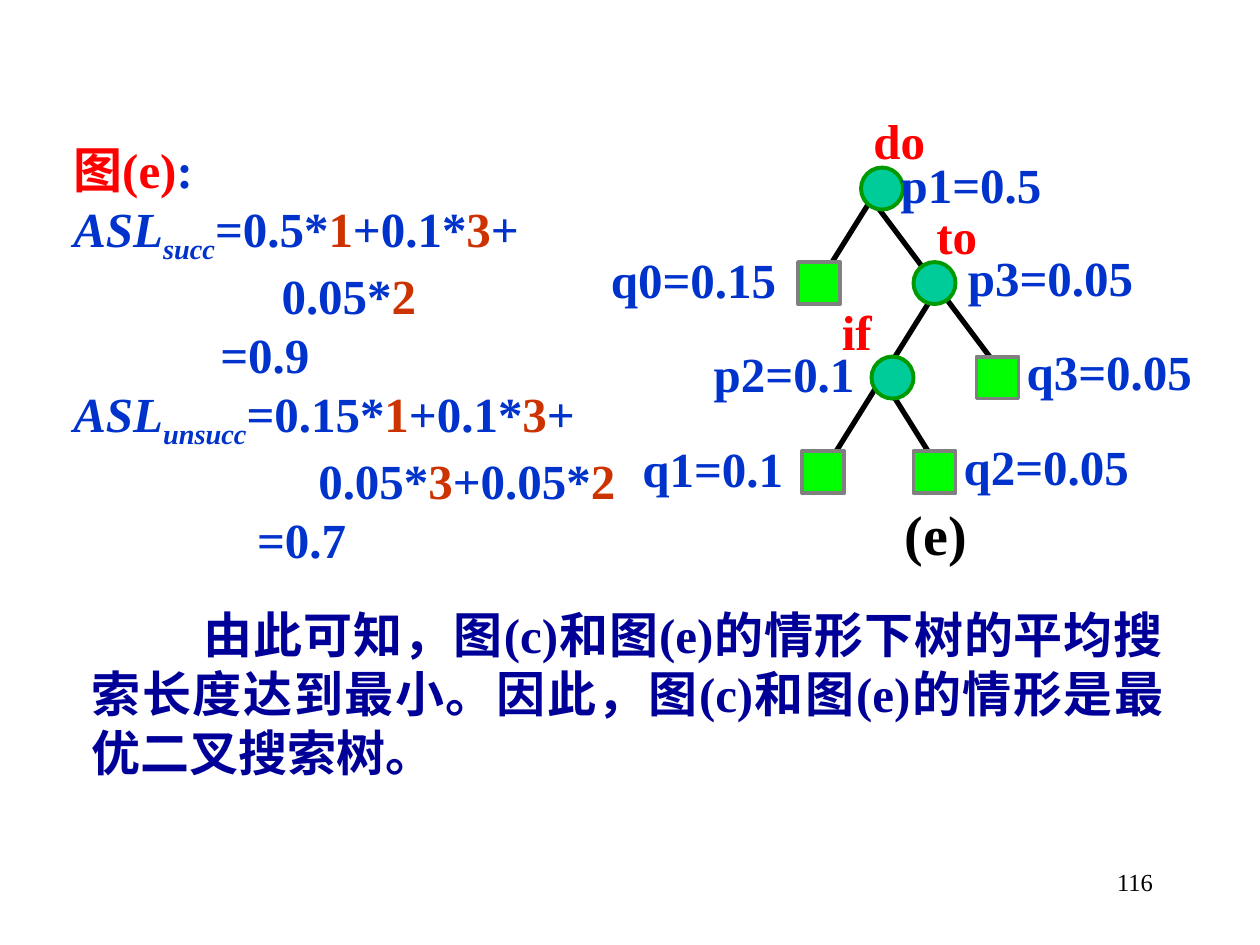
from lxml import etree
from pptx import Presentation
from pptx.dml.color import RGBColor
from pptx.enum.shapes import MSO_CONNECTOR, MSO_SHAPE
from pptx.enum.text import MSO_ANCHOR, MSO_AUTO_SIZE, PP_ALIGN
from pptx.oxml.ns import qn
from pptx.util import Inches, Pt

STRAIGHT = MSO_CONNECTOR.STRAIGHT
CIRCLE, SQUARE = MSO_SHAPE.OVAL, MSO_SHAPE.RECTANGLE
TOP = MSO_ANCHOR.TOP
FIT, FIXED = MSO_AUTO_SIZE.SHAPE_TO_FIT_TEXT, MSO_AUTO_SIZE.NONE
LEFT, RIGHT, JUSTIFY = PP_ALIGN.LEFT, PP_ALIGN.RIGHT, PP_ALIGN.JUSTIFY

COLORS = {
    "key": "FF0000", "formula": "0033CC", "depth": "CC3300",
    "conclusion": "000099", "black": "000000",
    "inner": "00CC99", "inner_edge": "009900",
    "outer": "00FF00", "outer_edge": "808080",
}
BASE_FONT = {"name": "Times New Roman", "size": Pt(28), "bold": True}
SLIDE_W, SLIDE_H = 10, 7.5
SPACE = 7  # points of indent per column of the derivation

# Grid of the tree: columns and rows of 1/12 inch
TREE_COLS, TREE_ROWS, NODE = 58, 45, 4
EDGES = [  # from column, row to column, row
    (27, 26, 32, 34), (26, 9, 21, 17), (32, 18, 27, 26),
    (26.4, 27, 21.4, 35), (26, 9, 38, 25),
]
INNER_NODES = [(25, 6), (30, 15), (26, 24)]
OUTER_NODES = [(19, 15), (36, 24), (19.4, 33), (30, 33)]
LABELS = [  # text, column, row, width, colour
    ("do", 25, 0, 7.3, "key"), ("to", 31, 9, 6.4, "key"),
    ("if", 22, 18.2, 5.3, "key"),
    ("p1=0.5", 27.6, 4.2, 15.8, "formula"),
    ("p2=0.1", 9.8, 22.2, 15.8, "formula"),
    ("p3=0.05", 34, 13, 18.2, "formula"),
    ("q0=0.15", 0, 13.2, 18.2, "formula"),
    ("q1=0.1", 3, 31.2, 15.8, "formula"),
    ("q2=0.05", 33.6, 31, 18.2, "formula"),
    ("q3=0.05", 39.6, 22, 18.2, "formula"),
]

# Derivation: indent in columns, then pieces of (text, role)
DERIVATION = [
    (3, [("图(e)", "key"), (":", "formula")]),
    (3, [("ASL", "italic"), ("succ", "sub"), ("=0.5*", "formula"), ("1", "depth"),
         ("+0.1*", "formula"), ("3", "depth"), ("+", "formula")]),
    (20, [("0.05*", "formula"), ("2", "depth")]),
    (15, [("=0.9", "formula")]),
    (3, [("ASL", "italic"), ("unsucc", "sub"), ("=0.15*", "formula"), ("1", "depth"),
         ("+0.1*", "formula"), ("3", "depth"), ("+", "formula")]),
    (23, [("0.05*", "formula"), ("3", "depth"), ("+0.05*", "formula"), ("2", "depth")]),
    (18, [("=0.7", "formula")]),
]
CONCLUSION = ("由此可知，图(c)和图(e)的情形下树的平均搜索长度达到最小。"
              "因此，图(c)和图(e)的情形是最优二叉搜索树。")


def rgb(color):
    return RGBColor.from_string(COLORS[color])


def set_all(target, values):
    for key, value in values.items():
        setattr(target, key, value)


def place(shape, box):
    set_all(shape, dict(zip(("left", "top", "width", "height"), map(Inches, box))))


def add_run(paragraph, text, color, **font_values):
    run = paragraph.add_run()
    run.text = text
    set_all(run.font, {**BASE_FONT, **font_values})
    run.font.color.rgb = rgb(color)
    return run


def add_text(slide, box, text, color, align=LEFT, wrap=True, **font_values):
    textbox = slide.shapes.add_textbox(*map(Inches, box))
    set_all(textbox.text_frame, {"word_wrap": wrap, "auto_size": FIXED if wrap else FIT})
    paragraph = textbox.text_frame.paragraphs[0]
    paragraph.alignment = align
    add_run(paragraph, text, color, **font_values)
    return paragraph


def set_indent(paragraph, margin, first_line=0):
    properties = paragraph._p.get_or_add_pPr()
    properties.set("marL", str(int(margin)))
    properties.set("indent", str(int(first_line)))
    return properties


def add_derivation(slide, box):
    body = slide.placeholders[1]
    place(body, box)
    frame = body.text_frame
    set_all(frame, {"word_wrap": True, "auto_size": FIXED, "vertical_anchor": TOP})
    for row, (columns, pieces) in enumerate(DERIVATION):
        paragraph = frame.add_paragraph() if row else frame.paragraphs[0]
        properties = set_indent(paragraph, Pt(columns * SPACE))
        etree.SubElement(properties, qn("a:buNone"))
        set_all(paragraph, {"space_before": Pt(0), "alignment": LEFT})
        for text, role in pieces:
            color = role if role in COLORS else "formula"
            run = add_run(paragraph, text, color, italic=role in ("italic", "sub"))
            if role == "sub":
                run.font._element.set("baseline", "-25000")


def add_tree(slide, box):
    left, top, width, height = box
    col, row = width / TREE_COLS, height / TREE_ROWS

    def at(x, y):
        return left + x * col, top + y * row

    # Edges
    for x1, y1, x2, y2 in EDGES:
        edge = slide.shapes.add_connector(
            STRAIGHT, *map(Inches, at(x1, y1) + at(x2, y2)))
        edge.line.color.rgb = rgb("black")
        edge.line.width = Pt(3)
        etree.SubElement(edge._element.spPr, qn("a:effectLst"))

    # Keys are circles, failed searches are squares
    for kind, fill, nodes in ((CIRCLE, "inner", INNER_NODES),
                              (SQUARE, "outer", OUTER_NODES)):
        for x, y in nodes:
            node = slide.shapes.add_shape(
                kind, *map(Inches, at(x, y) + (NODE * col, NODE * row)))
            node.shadow.inherit = False
            node.fill.solid()
            node.fill.fore_color.rgb = rgb(fill)
            node.line.color.rgb = rgb(fill + "_edge")
            node.line.width = Pt(2.25)

    # Labels and caption
    for text, x, y, label_width, color in LABELS:
        add_text(slide, at(x, y) + (label_width * col, 6.8 * row), text, color, wrap=False)
    add_text(slide, at(28, 37) + (8.3 * col, 7.6 * row), "(e)", "black",
             wrap=False, size=Pt(32))


def add_conclusion(slide, box):
    paragraph = add_text(slide, box, CONCLUSION, "conclusion", JUSTIFY)
    set_indent(paragraph, Inches(0.38), Inches(0.89))


def add_page_number(slide, box):
    add_text(slide, box, "116", "black", RIGHT, size=Pt(14), bold=False)


def main():
    deck = Presentation()
    set_all(deck, {"slide_width": Inches(SLIDE_W), "slide_height": Inches(SLIDE_H)})
    slide = deck.slides.add_slide(deck.slide_layouts[1])
    title = slide.shapes.title._element
    title.getparent().remove(title)

    add_tree(slide, (4.75, 0.83, TREE_COLS / 12, TREE_ROWS / 12))
    add_conclusion(slide, (0.25, 4.75, 9.08, 1.67))
    add_derivation(slide, (0.19, 1.06, 5.08, 3.56))
    add_page_number(slide, (7.17, 6.83, 2.08, 0.5))
    deck.save("out.pptx")


if __name__ == "__main__":
    main()
